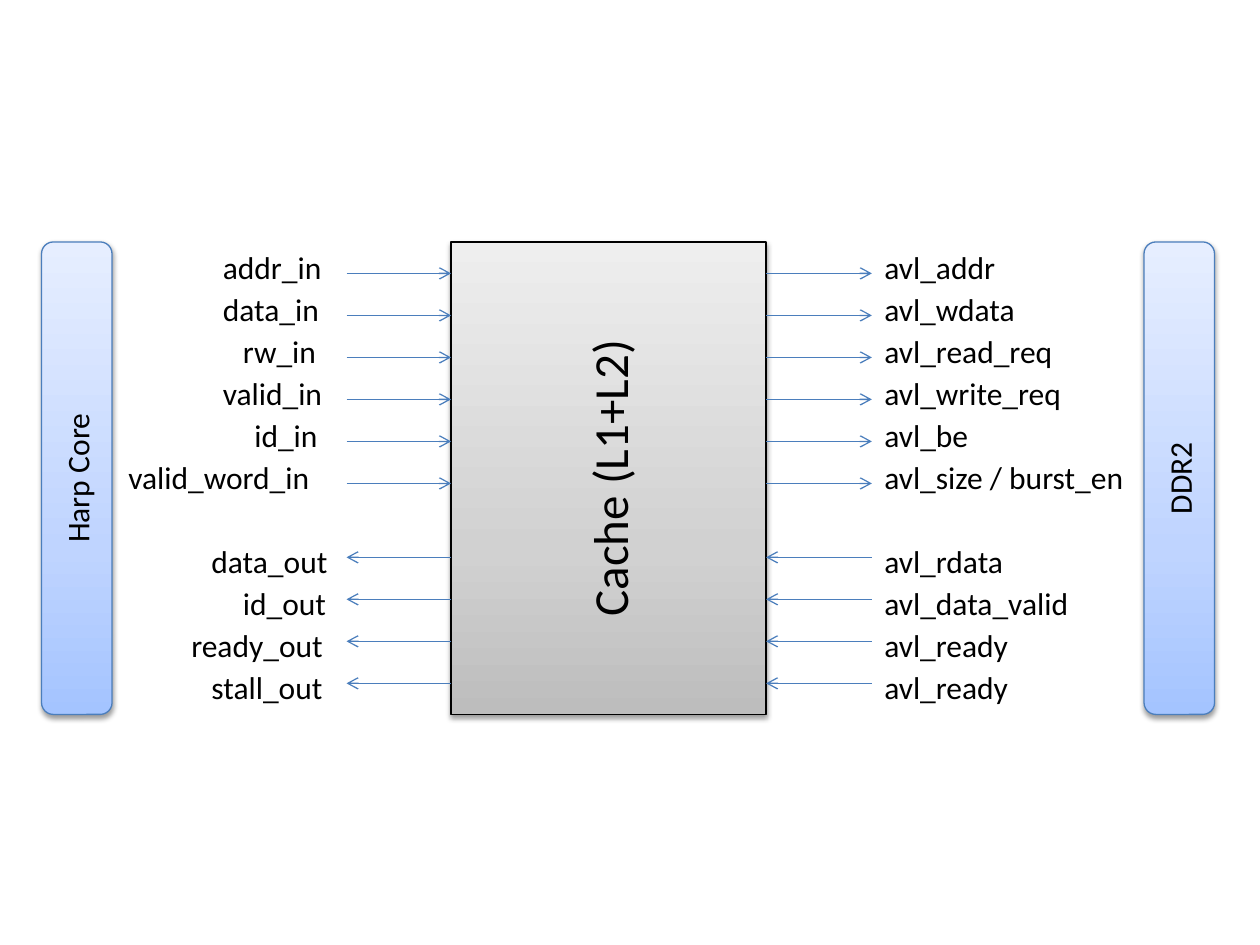
from lxml.etree import SubElement
from pptx import Presentation
from pptx.dml.color import RGBColor
from pptx.enum.shapes import MSO_CONNECTOR as CONNECTOR, MSO_SHAPE as SHAPE
from pptx.enum.text import MSO_ANCHOR as ANCHOR, MSO_AUTO_SIZE as AUTO_SIZE, PP_ALIGN as ALIGN
from pptx.oxml.ns import qn
from pptx.util import Inches, Pt

COLORS = {"text": "000000", "outline": "000000", "signal": "4B7EBC", "shadow": "000000"}
GRADIENTS = {
    "cache": {0: "BDBDBD", 35: "D1D1D1", 100: "EEEEEE"},
    "block": {0: "A4C4FF", 35: "BFD4FF", 100: "E6EEFF"},
}

# Layout in inches
TOP, HEIGHT = 1.92, 3.75
ROW_PITCH = 1 / 3
CACHE_LEFT, CACHE_RIGHT = 3.58, 6.08
CORE_SIDE, MEMORY_SIDE = 2.75, 6.92
FIRST_RETURN_ROW = 7

# Signals: label, left, width
CORE_REQUESTS = [
    ("addr_in", 1.67, 1.08), ("data_in", 1.67, 1.08), ("rw_in", 1.83, 1.08),
    ("valid_in", 1.67, 1.08), ("id_in", 1.92, 1.08), ("valid_word_in", 0.92, 1.75),
]
CORE_RETURNS = [
    ("data_out", 1.58, 1.17), ("id_out", 1.83, 1), ("ready_out", 1.42, 1.33),
    ("stall_out", 1.58, 1.33),
]
MEMORY_REQUESTS = [
    ("avl_addr", MEMORY_SIDE, 1.08), ("avl_wdata", MEMORY_SIDE, 1.5),
    ("avl_read_req", MEMORY_SIDE, 1.58), ("avl_write_req", MEMORY_SIDE, 1.75),
    ("avl_be", MEMORY_SIDE, 1.08), ("avl_size / burst_en", MEMORY_SIDE, 2.17),
]
MEMORY_RETURNS = [
    ("avl_rdata", MEMORY_SIDE, 1.17), ("avl_data_valid", MEMORY_SIDE, 1.75),
    ("avl_ready", MEMORY_SIDE, 1.33), ("avl_ready", MEMORY_SIDE, 1.33),
]


def write_text(frame, text, size=18, color="text", align=ALIGN.LEFT, anchor=ANCHOR.TOP):
    frame.word_wrap = True
    frame.vertical_anchor = anchor
    paragraph = frame.paragraphs[0]
    paragraph.alignment = align
    run = paragraph.add_run()
    run.text = text
    run.font.name = "Calibri"
    run.font.size = Pt(size)
    run.font.color.rgb = RGBColor.from_string(COLORS[color])


def set_line(line, color):
    line.color.rgb = RGBColor.from_string(COLORS[color])
    line.width = Pt(0.75)


def set_gradient(shape, stops):
    shape.fill.gradient()
    shape.fill.gradient_angle = 90
    stop_list = shape.element.spPr.find(".//" + qn("a:gsLst"))
    for old_stop in list(stop_list):
        stop_list.remove(old_stop)
    for position, color in stops.items():
        stop = SubElement(stop_list, qn("a:gs"), pos=str(position * 1000))
        SubElement(stop, qn("a:srgbClr"), val=color)


def set_shadow(shape):
    shape.shadow.inherit = False
    effects = shape.element.spPr.find(qn("a:effectLst"))
    shadow = SubElement(effects, qn("a:outerShdw"), blurRad=str(Pt(3.1)),
                        dist=str(Pt(1.6)), dir="5400000", rotWithShape="0")
    color = SubElement(shadow, qn("a:srgbClr"), val=COLORS["shadow"])
    SubElement(color, qn("a:alpha"), val="38000")


def add_block(slide, text, left, width, kind=SHAPE.ROUNDED_RECTANGLE,
              gradient="block", outline="signal", size=18):
    block = slide.shapes.add_shape(kind, Inches(left), Inches(TOP), Inches(width), Inches(HEIGHT))
    set_gradient(block, GRADIENTS[gradient])
    set_line(block.line, outline)
    set_shadow(block)
    write_text(block.text_frame, text, size=size, align=ALIGN.CENTER, anchor=ANCHOR.MIDDLE)
    block.text_frame._txBody.bodyPr.set("vert", "vert270")


def add_label(slide, text, left, top, width):
    label = slide.shapes.add_textbox(Inches(left), Inches(top), Inches(width), Inches(0.4))
    write_text(label.text_frame, text)
    label.text_frame.auto_size = AUTO_SIZE.SHAPE_TO_FIT_TEXT


def add_arrow(slide, start, end, y):
    arrow = slide.shapes.add_connector(
        CONNECTOR.STRAIGHT, Inches(start), Inches(y), Inches(end), Inches(y))
    set_line(arrow.line, "signal")
    SubElement(arrow.line._get_or_add_ln(), qn("a:tailEnd"), type="arrow")
    SubElement(arrow.element.spPr, qn("a:effectLst"))


def add_signals(slide, signals, start, end, first_row=0, arrow_offset=0.25):
    for row, (text, left, width) in enumerate(signals, first_row):
        top = TOP + row * ROW_PITCH
        add_label(slide, text, left, top, width)
        add_arrow(slide, start, end, top + arrow_offset)


def main():
    deck = Presentation()
    deck.slide_width, deck.slide_height = Inches(10), Inches(7.5)
    slide = deck.slides.add_slide(deck.slide_layouts[6])

    # Cache in the centre
    add_block(slide, "Cache (L1+L2)", CACHE_LEFT, CACHE_RIGHT - CACHE_LEFT,
              kind=SHAPE.RECTANGLE, gradient="cache", outline="outline", size=28)

    # Requests run left to right, returns run right to left
    add_signals(slide, CORE_REQUESTS, CORE_SIDE, CACHE_LEFT)
    add_signals(slide, MEMORY_REQUESTS, CACHE_RIGHT, MEMORY_SIDE)
    returns = {"first_row": FIRST_RETURN_ROW, "arrow_offset": 0.17}
    add_signals(slide, CORE_RETURNS, CACHE_LEFT, CORE_SIDE, **returns)
    add_signals(slide, MEMORY_RETURNS, MEMORY_SIDE, CACHE_RIGHT, **returns)

    # Core and memory at the sides
    add_block(slide, "DDR2", 9.08, 0.56)
    add_block(slide, "Harp Core", 0.33, 0.56)

    deck.save("out.pptx")


main()
